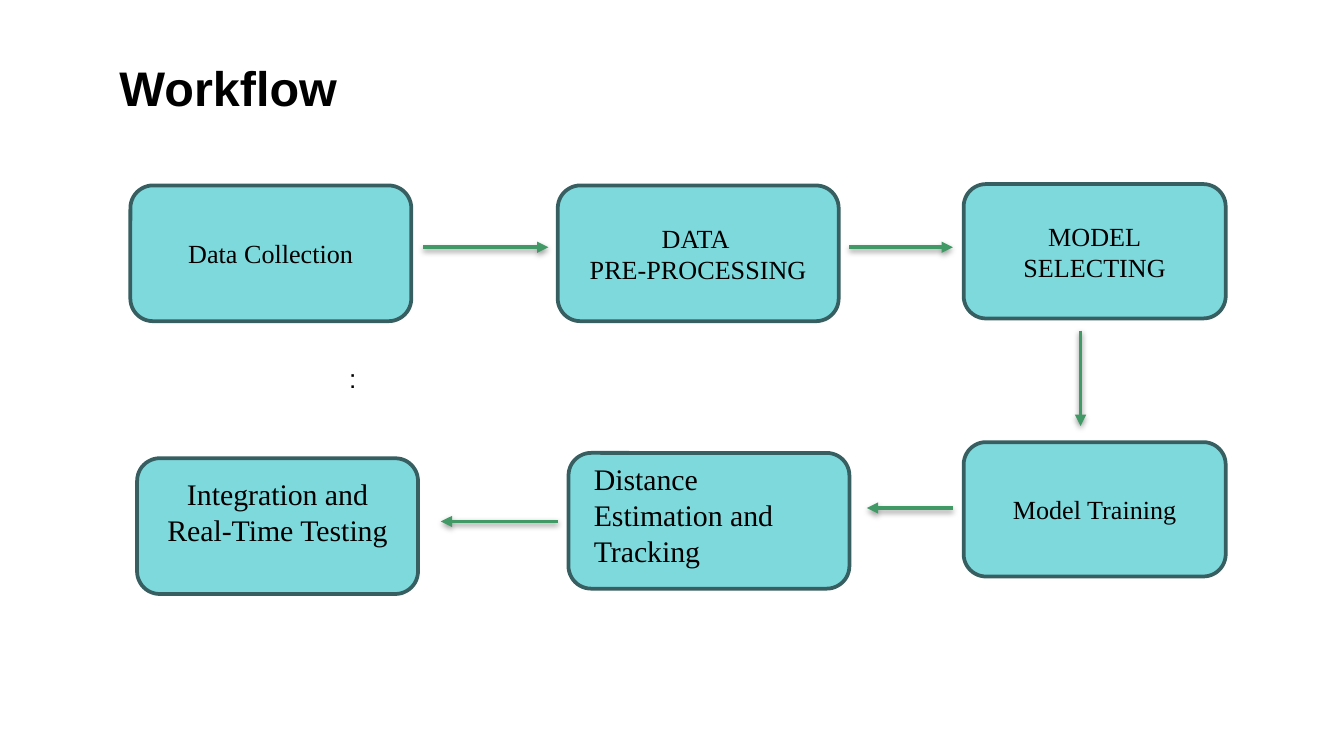
"""Builds a one-page workflow diagram of six steps joined by arrows."""
import pptx
import pptx.dml.color
import pptx.enum.shapes
import pptx.enum.text
import pptx.oxml
import pptx.oxml.ns
import pptx.util
from pptx.util import Inches

COLORS = {"text": "000000", "fill": "7ED9DD", "border": "375F61", "arrow": "419965"}
CENTER = pptx.enum.text.PP_ALIGN.CENTER
LEFT = pptx.enum.text.PP_ALIGN.LEFT
SERIF = "Times New Roman"
SHADOW = (
    f'<a:effectLst {pptx.oxml.ns.nsdecls("a")}>'
    '<a:outerShdw blurRad="39370" dist="20320" dir="5400000" rotWithShape="0">'
    '<a:srgbClr val="000000"><a:alpha val="38000"/></a:srgbClr>'
    '</a:outerShdw></a:effectLst>'
)
ARROWHEAD = f'<a:tailEnd {pptx.oxml.ns.nsdecls("a")} type="triangle"/>'


def color(name):
    return pptx.dml.color.RGBColor.from_string(COLORS[name])


def write(frame, lines, font, size, align=LEFT, bold=False):
    frame.word_wrap = True
    for index, line in enumerate(lines):
        para = frame.paragraphs[0] if index == 0 else frame.add_paragraph()
        para.text = line
        para.alignment = align
        para.font.name = font
        para.font.size = pptx.util.Pt(size)
        para.font.bold = bold
        para.font.color.rgb = color("text")


def add_label(page, left, top, width, height, text, size, font="Arial", bold=False, margin=0.05):
    box = page.shapes.add_textbox(Inches(left), Inches(top), Inches(width), Inches(height))
    box.text_frame.margin_top = box.text_frame.margin_bottom = Inches(margin)
    write(box.text_frame, [text], font, size, bold=bold)


def add_step(page, left, top, width, height, lines=(), size=14, bottom_margin=0.05):
    box = page.shapes.add_shape(
        pptx.enum.shapes.MSO_SHAPE.ROUNDED_RECTANGLE,
        Inches(left), Inches(top), Inches(width), Inches(height))
    box.shadow.inherit = False
    box.fill.solid()
    box.fill.fore_color.rgb = color("fill")
    box.line.color.rgb = color("border")
    box.line.width = pptx.util.Pt(2)
    frame = box.text_frame
    frame.vertical_anchor = pptx.enum.text.MSO_ANCHOR.MIDDLE
    frame.margin_bottom = Inches(bottom_margin)
    write(frame, lines, SERIF, size, CENTER)


def add_arrow(page, *ends):
    arrow = page.shapes.add_connector(
        pptx.enum.shapes.MSO_CONNECTOR.STRAIGHT, *map(Inches, ends))
    arrow.line.color.rgb = color("arrow")
    arrow.line.width = pptx.util.Pt(2)
    arrow.line._get_or_add_ln().append(pptx.oxml.parse_xml(ARROWHEAD))
    arrow._element.spPr.append(pptx.oxml.parse_xml(SHADOW))


def main():
    deck = pptx.Presentation()
    deck.slide_width = Inches(10)
    deck.slide_height = deck.slide_width * 9 // 16
    page = deck.slides.add_slide(deck.slide_layouts[6])

    add_label(page, 0.79, 0.33, 7.05, 0.65, "Workflow", 26, bold=True, margin=0.1)

    wide, narrow = (2.09, 1.01), (1.95, 1)
    add_step(page, 0.97, 1.38, *wide, ["Data Collection"])
    add_step(page, 4.15, 1.38, *wide, ["DATA ", "PRE-PROCESSING"])
    add_step(page, 7.17, 1.37, *narrow, ["MODEL", "SELECTING"])
    add_step(page, 7.17, 3.29, *narrow, ["Model Training"])
    add_step(page, 4.23, 3.37, *wide)
    add_label(page, 4.32, 3.38, 1.7, 0.91, "Distance Estimation and Tracking", 16, SERIF)
    add_step(page, 1.02, 3.41, *wide, ["Integration and Real-Time Testing"], 16, 0.27)
    add_label(page, 2.5, 2.65, 5, 0.34, ":", 14)

    for ends in (
        (3.15, 1.84, 4.08, 1.84),
        (6.32, 1.84, 7.09, 1.84),
        (8.04, 2.46, 8.04, 3.17),
        (7.09, 3.78, 6.45, 3.78),
        (4.15, 3.88, 3.28, 3.88),
    ):
        add_arrow(page, *ends)

    deck.save("out.pptx")


if __name__ == "__main__":
    main()
